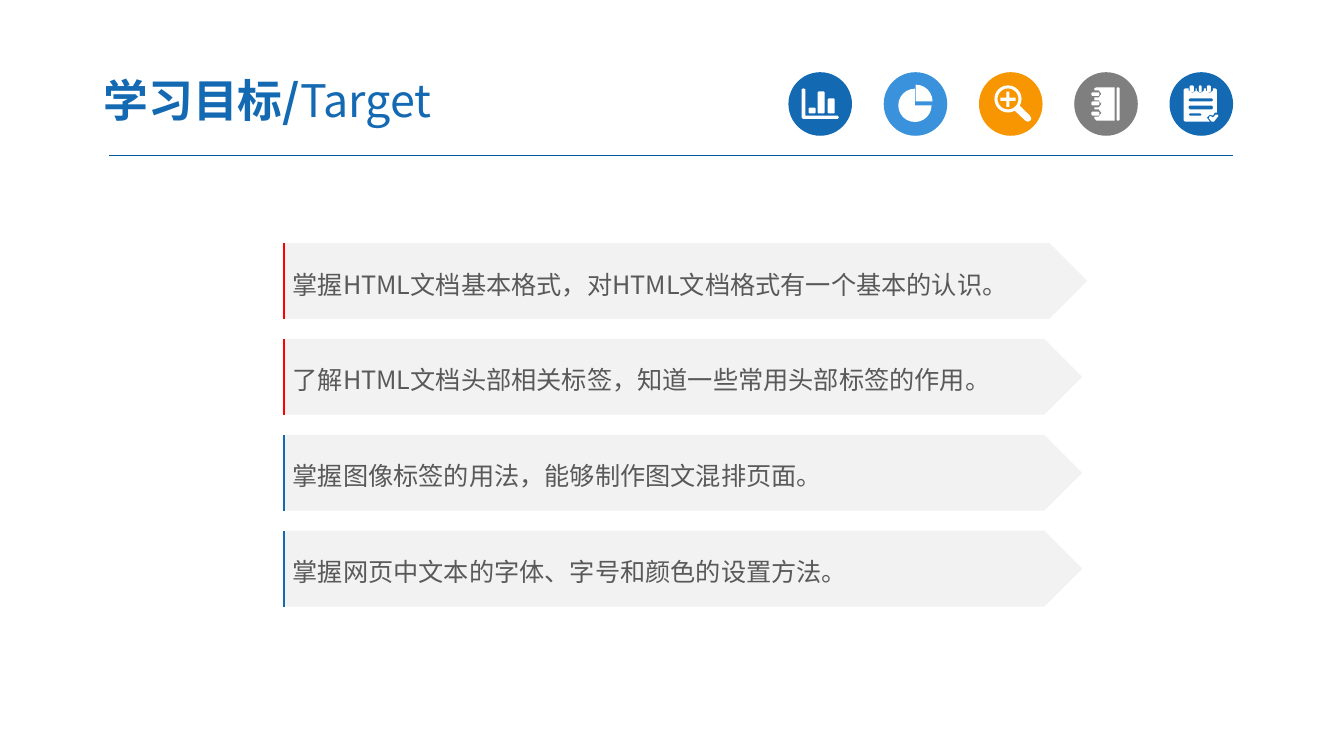
import math
import pptx
import pptx.dml.color
import pptx.enum.shapes
import pptx.enum.text
import pptx.oxml
import pptx.oxml.ns
import pptx.util
from dataclasses import dataclass

Pt = pptx.util.Pt
Shape = pptx.enum.shapes.MSO_SHAPE


@dataclass(frozen=True)
class Theme:
    font: str = "Noto Sans CJK SC"
    title_size: int = 32
    goal_size: int = 18
    blue: str = "1369B2"
    sky: str = "3992DB"
    orange: str = "F79600"
    grey: str = "7F7F7F"
    rule: str = "005B9E"
    red: str = "FF0000"
    panel: str = "F2F2F2"
    text: str = "595959"
    white: str = "FFFFFF"


theme = Theme()
rgb = pptx.dml.color.RGBColor.from_string

deck = pptx.Presentation()
deck.slide_width, deck.slide_height = Pt(960), Pt(540)
page = deck.slides.add_slide(deck.slide_layouts[6])


def add_filled(kind, left, top, width, height, colour):
    shape = page.shapes.add_shape(kind, Pt(left), Pt(top), Pt(width), Pt(height))
    shape.shadow.inherit = False
    shape.fill.solid()
    shape.fill.fore_color.rgb = rgb(colour)
    shape.line.fill.background()
    return shape


def add_outline(contours, left, top, closed=True):
    placed = [[(Pt(left + x), Pt(top + y)) for x, y in contour] for contour in contours]
    builder = page.shapes.build_freeform(*placed[0][0], scale=1.0)
    for index, points in enumerate(placed):
        if index:
            builder.move_to(*points[0])
        if len(points) > 1:
            builder.add_line_segments(points[1:], close=closed)
    shape = builder.convert_to_shape()
    shape.shadow.inherit = False
    return shape


# Header rule
rule = page.shapes.add_connector(pptx.enum.shapes.MSO_CONNECTOR.STRAIGHT,
                                 Pt(77.8), Pt(111.4), Pt(880.6), Pt(111.4))
rule.line.color.rgb = rgb(theme.rule)
rule.line.width = Pt(0.75)
rule._element.spPr.append(pptx.oxml.parse_xml(
    f'<a:effectLst {pptx.oxml.ns.nsdecls("a")}/>'))

# Round parts of the icons: centre, radius, first and last angle
arcs = {}
for name, x, y, radius, first, last in (
        ("slice", 22.9, 20.9, 12, 270, 360), ("pie", 22.3, 23.7, 11.9, 0, 270),
        ("lens", 20.7, 19.1, 9.7, 60, 390), ("glass", 20.7, 19.1, 7.5, 0, 345)):
    arcs[name] = [(x + radius * math.cos(math.radians(angle)),
                   y + radius * math.sin(math.radians(angle)))
                  for angle in range(first, last + 1, 15)]

# Icon bars with cut corners: left, top, right, bottom from the badge corner
icon_bars = {
    "chart": [(14.4, 25.2, 19.4, 29.5), (20.9, 13.7, 25.9, 29.5), (28.1, 18.7, 33.1, 29.5)],
    "notebook": [(30.2, 10.8, 32.4, 34.6), (12.2, 14.4, 18, 16.9),
                 (12.2, 20.9, 18, 23.8), (12.2, 28.1, 18, 31)],
    "notepad": [(13.7, 18.7, 31, 20.9), (13.7, 23.8, 31, 26.6), (13.7, 29.5, 23, 31),
                (14.4, 9.4, 17.3, 14.4), (20.9, 9.4, 23, 14.4), (26.6, 9.4, 29.5, 14.4)],
}
cut = 0.7
bars = {name: [[(l + cut, t), (r - cut, t), (r, t + cut), (r, b - cut),
                (r - cut, b), (l + cut, b), (l, b - cut), (l, t + cut)]
               for l, t, r, b in boxes] for name, boxes in icon_bars.items()}

# Remaining icon outlines
axes = [(9.4, 12.2), (10.8, 11.5), (12.2, 12.2), (12.2, 31), (35.3, 31),
        (36, 32.2), (35.3, 33.3), (10.4, 33.3), (9.4, 32.4)]
handle = [(36.4, 31), (37.4, 33.1), (36.5, 34.8), (34.6, 35.3), (33.1, 34.6)]
plus = [(15.3, 18.2), (19.6, 18.2), (19.6, 13.9), (21.8, 13.9), (21.8, 18.2), (26.1, 18.2),
        (26.1, 20.4), (21.8, 20.4), (21.8, 24.7), (19.6, 24.7), (19.6, 20.4), (15.3, 20.4)]
cover = [(28.8, 34.6), (28.8, 10.8), (15.8, 10.8), (14.4, 11.5)]
for top, bottom in ((13, 18), (20.2, 25.2), (26.6, 31.7)):
    cover += [(14.4, top), (17.5, top), (19.4, top + 2.5), (17.5, bottom), (14.4, bottom)]
cover += [(14.4, 33.1), (15.8, 34.6)]
sheet = [(10.1, 12.5), (11.2, 11.5)]
for left, right in ((13.7, 18.7), (19.4, 24.5), (25.9, 31)):
    sheet += [(left, 11.5), (left, 13.2), (left + 2.5, 15.1), (right, 13.2), (right, 11.5)]
sheet += [(32.7, 11.5), (33.8, 12.5), (33.8, 28.8), (32.4, 28.8), (31, 31), (28.8, 30.2),
          (26.6, 32.4), (28.8, 35.3), (11.2, 35.3), (10.1, 34.4)]
tick = [(34.6, 31.7), (31.7, 35.3), (30.2, 35.3), (28.1, 33.1),
        (28.8, 31), (31, 32.4), (33.1, 30.2), (34.9, 30.5)]

# Header badges: evenly spaced discs, each with one white icon
badges = [
    (theme.blue, [axes, *bars["chart"]]),
    (theme.sky, [[(22.9, 20.9), *arcs["slice"]], [(22.3, 23.7), *arcs["pie"]]]),
    (theme.orange, [arcs["lens"] + handle, arcs["glass"], plus]),
    (theme.grey, [cover, *bars["notebook"]]),
    (theme.blue, [sheet, tick, *bars["notepad"]]),
]
badge_top, badge_size = 51.6, 45.4
for index, (colour, contours) in enumerate(badges):
    left = 563.2 + index * 68.05
    add_filled(Shape.OVAL, left, badge_top, badge_size, badge_size, colour)
    icon = add_outline(contours, left, badge_top)
    icon.fill.solid()
    icon.fill.fore_color.rgb = rgb(theme.white)
    icon.line.fill.background()

# Title
title = page.shapes.add_textbox(Pt(64.4), Pt(45.4), Pt(375.8), Pt(51.8))
frame = title.text_frame
frame.word_wrap = True
frame.vertical_anchor = pptx.enum.text.MSO_ANCHOR.MIDDLE
frame.margin_left = frame.margin_right = Pt(9.5)
frame.margin_top = frame.margin_bottom = Pt(5)
for words, bold in (("学习目标/", True), ("Target", False)):
    span = frame.paragraphs[0].add_run()
    span.text = words
    span.font.bold = bold
    span.font.size = Pt(theme.title_size)
    span.font.color.rgb = rgb(theme.blue)

# Learning goals: arrow panels with a coloured edge
goals = [
    ("掌握HTML文档基本格式，对HTML文档格式有一个基本的认识。", 574.6, theme.red),
    ("了解HTML文档头部相关标签，知道一些常用头部标签的作用。", 571, theme.red),
    ("掌握图像标签的用法，能够制作图文混排页面。", 571, theme.blue),
    ("掌握网页中文本的字体、字号和颜色的设置方法。", 571, theme.blue),
]
goal_height = 54.1
edge_contours = [[(0, goal_height), (0, 0)], [(8.6, 0)]]
goal_paras = []
for index, (words, width, edge_colour) in enumerate(goals):
    top = 173.6 + index * 68.5
    panel = add_filled(Shape.PENTAGON, 202, top, width, goal_height, theme.panel)
    panel.text_frame.text = words
    panel.text_frame.word_wrap = True
    panel.text_frame.vertical_anchor = pptx.enum.text.MSO_ANCHOR.MIDDLE
    para = panel.text_frame.paragraphs[0]
    para.alignment = pptx.enum.text.PP_ALIGN.LEFT
    para.line_spacing = 1.2
    para.runs[0].font.size = Pt(theme.goal_size)
    para.runs[0].font.color.rgb = rgb(theme.text)
    goal_paras.append(para)
    edge = add_outline(edge_contours, 203, top, closed=False)
    edge.fill.background()
    edge.line.color.rgb = rgb(edge_colour)
    edge.line.width = Pt(1.5)

# Typeface for both Latin and Chinese text
for para in [frame.paragraphs[0], *goal_paras]:
    for span in para.runs:
        span.font.name = theme.font
        span.font._element.append(pptx.oxml.parse_xml(
            f'<a:ea {pptx.oxml.ns.nsdecls("a")} typeface="{theme.font}"/>'))

deck.save("out.pptx")
